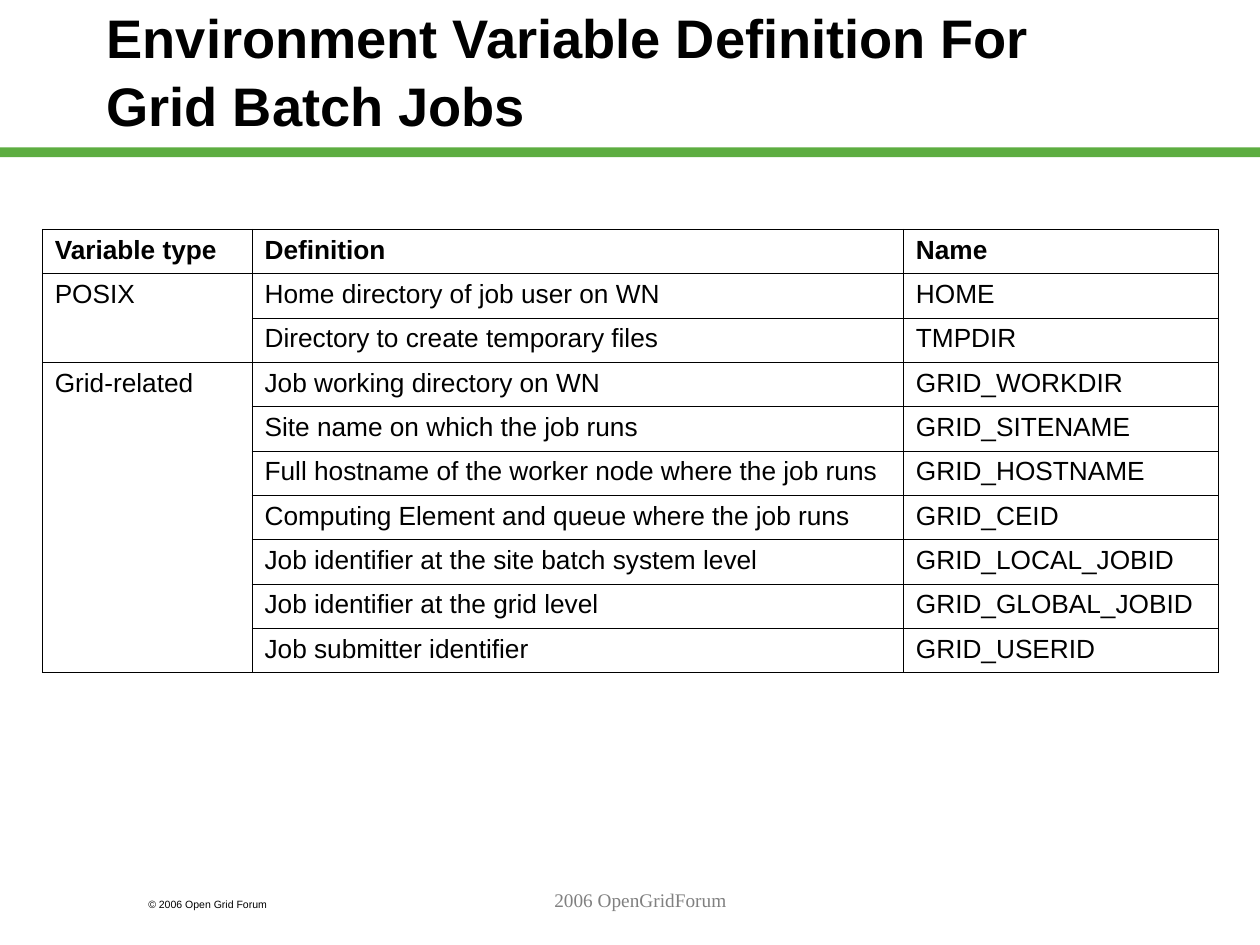
import lxml.etree
import pptx
import pptx.dml.color
import pptx.enum.shapes
import pptx.enum.text
import pptx.oxml.ns
import pptx.util
from pptx.util import Cm

BLACK = pptx.dml.color.RGBColor(0, 0, 0)
GREEN = pptx.dml.color.RGBColor(0x5D, 0xAD, 0x41)
GRAY = pptx.dml.color.RGBColor(0x80, 0x80, 0x80)

ALIGN = pptx.enum.text.PP_ALIGN
ANCHOR = pptx.enum.text.MSO_ANCHOR

TITLE = {"name": "Arial", "size": 31, "bold": True, "color": BLACK}
HEAD = {"name": "Arial", "size": 15, "bold": True, "color": BLACK}
BODY = {**HEAD, "bold": False}
RIGHTS = {"name": "Arial", "size": 6, "color": BLACK}
FOOTER = {"name": "Times New Roman", "size": 11, "color": GRAY}

WIDTHS = (4.23, 13.13, 6.35)
ROWS = (
    ("Variable type", "Definition", "Name"),
    ("POSIX", "Home directory of job user on WN", "HOME"),
    ("", "Directory to create temporary files", "TMPDIR"),
    ("Grid-related", "Job working directory on WN", "GRID_WORKDIR"),
    ("", "Site name on which the job runs", "GRID_SITENAME"),
    ("", "Full hostname of the worker node where the job runs", "GRID_HOSTNAME"),
    ("", "Computing Element and queue where the job runs", "GRID_CEID"),
    ("", "Job identifier at the site batch system level", "GRID_LOCAL_JOBID"),
    ("", "Job identifier at the grid level", "GRID_GLOBAL_JOBID"),
    ("", "Job submitter identifier", "GRID_USERID"),
)
GROUPS = ((1, 2), (3, 9))


def style(para, form):
    for key, value in form.items():
        if key == "color":
            para.font.color.rgb = value
        elif key == "size":
            para.font.size = pptx.util.Pt(value)
        else:
            setattr(para.font, key, value)


def add_text(slide, text, place, form, frame=None, para=None):
    box = slide.shapes.add_textbox(*map(Cm, place)).text_frame
    box.text = text
    for key, value in {"word_wrap": True, **(frame or {})}.items():
        setattr(box, key, value)
    line = box.paragraphs[0]
    for key, value in (para or {}).items():
        setattr(line, key, value)
    style(line, form)


def add_bar(slide, place):
    bar = slide.shapes.add_shape(
        pptx.enum.shapes.MSO_SHAPE.RECTANGLE, *map(Cm, place))
    bar.shadow.inherit = False
    bar.fill.solid()
    bar.fill.fore_color.rgb = GREEN
    bar.line.fill.background()


def add_edge(cell):
    tag = pptx.oxml.ns.qn
    props = cell._tc.get_or_add_tcPr()
    for side in ("lnL", "lnR", "lnT", "lnB"):
        edge = lxml.etree.SubElement(
            props, tag(f"a:{side}"), w=str(pptx.util.Pt(0.45)))
        fill = lxml.etree.SubElement(edge, tag("a:solidFill"))
        lxml.etree.SubElement(fill, tag("a:srgbClr"), val=str(BLACK))


def add_grid(slide, place):
    grid = slide.shapes.add_table(
        len(ROWS), len(WIDTHS), *map(Cm, place)).table
    for flag in ("first_row", "horz_banding"):
        setattr(grid, flag, False)
    for col, width in zip(grid.columns, WIDTHS):
        col.width = Cm(width)
    for row, texts in enumerate(ROWS):
        for col, text in enumerate(texts):
            cell = grid.cell(row, col)
            cell.text = text
            style(cell.text_frame.paragraphs[0], BODY if row else HEAD)
            add_edge(cell)
            cell.fill.background()
    for first, last in GROUPS:
        grid.cell(first, 0).merge(grid.cell(last, 0))


def main():
    deck = pptx.Presentation()
    deck.slide_width, deck.slide_height = Cm(25.4), Cm(19.05)
    slide = deck.slides.add_slide(deck.slide_layouts[6])
    add_bar(slide, (0, 2.97, 25.4, 0.2))
    add_text(slide, "© 2006 Open Grid Forum", (2.74, 17.98, 3.81, 0.51), RIGHTS)
    add_text(slide, "Environment Variable Definition For Grid Batch Jobs",
             (1.9, 0.43, 21.6, 3.18), TITLE,
             {"vertical_anchor": ANCHOR.MIDDLE, "margin_right": Cm(0.5),
              "margin_bottom": Cm(1.35)},
             {"line_spacing": 1.04})
    add_grid(slide, (0.85, 4.62, sum(WIDTHS), 8.95))
    add_text(slide, "2006 OpenGridForum", (5.5, 17.78, 14.82, 1.27), FOOTER,
             para={"alignment": ALIGN.CENTER})
    deck.save("out.pptx")


if __name__ == "__main__":
    main()
